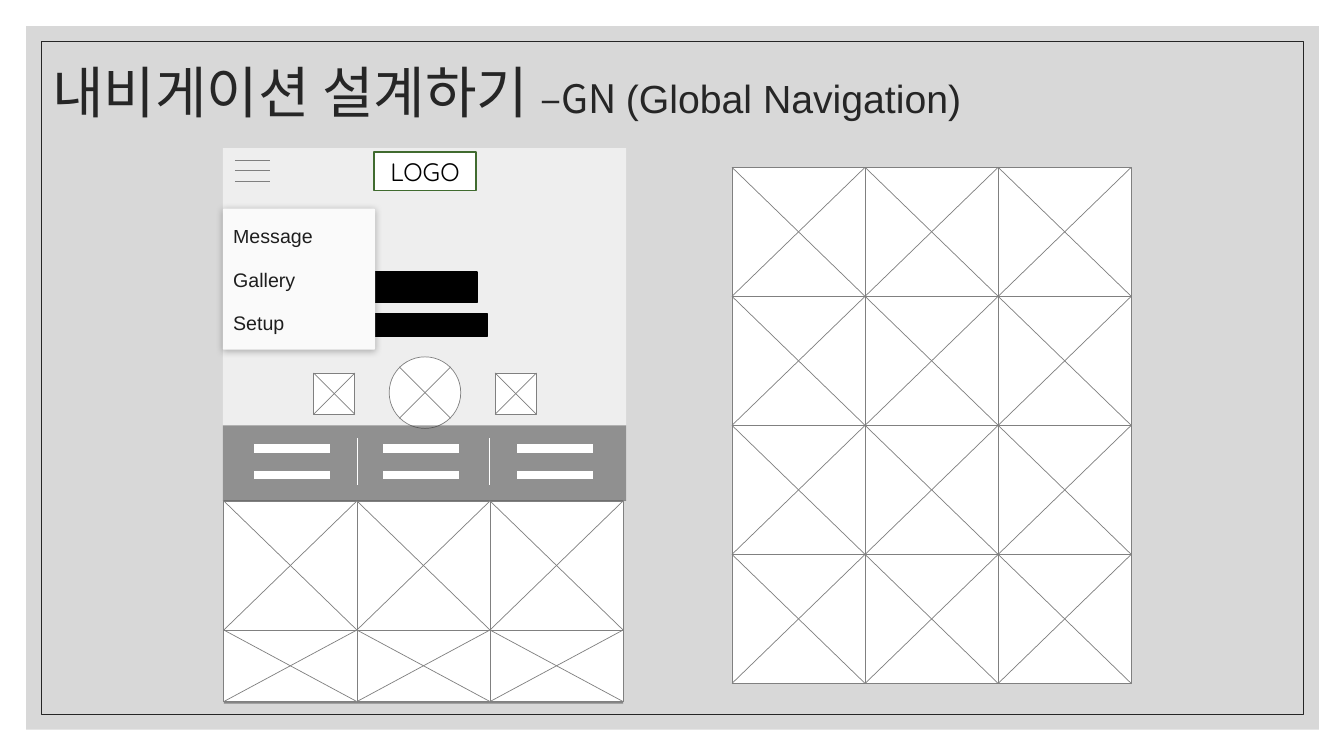
from dataclasses import dataclass
from itertools import product

from lxml.etree import SubElement
from pptx import Presentation
from pptx.dml.color import RGBColor
from pptx.dml.fill import FillFormat
from pptx.enum.shapes import MSO_CONNECTOR as LINE, MSO_SHAPE as SHAPE
from pptx.enum.text import MSO_ANCHOR as ANCHOR, MSO_AUTO_SIZE as FIT, PP_ALIGN as ALIGN
from pptx.oxml.ns import qn
from pptx.shapes.autoshape import Shape
from pptx.slide import Slide
from pptx.text.text import TextFrame, _Paragraph as Paragraph
from pptx.util import Inches, Pt

WHITE, BLACK, GREY, DARK = "FFFFFF", "000000", "808080", "333333"
KOREAN_FONT = "Noto Sans CJK KR"


@dataclass
class Box:
    left: float
    top: float
    width: float
    height: float
    fill: str = ""
    line: str = ""
    weight: float = 0.5
    opacity: int = 100
    kind: SHAPE = SHAPE.RECTANGLE


@dataclass
class Stroke:
    x1: float
    y1: float
    x2: float
    y2: float
    color: str = GREY
    weight: float = 0.5


@dataclass
class Words:
    text: str
    size: float
    font: str
    color: str
    opacity: int = 100


def paint(fill: FillFormat, color: str) -> None:
    fill.solid()
    fill.fore_color.rgb = RGBColor.from_string(color)


def set_opacity(element, percent: int) -> None:
    if percent < 100:
        color = next(element.iter(qn("a:srgbClr")))
        SubElement(color, qn("a:alpha"), val=str(percent * 1000))


def draw_box(slide: Slide, box: Box) -> Shape:
    shape = slide.shapes.add_shape(
        box.kind, Inches(box.left), Inches(box.top), Inches(box.width), Inches(box.height))
    shape.shadow.inherit = False
    if box.fill:
        paint(shape.fill, box.fill)
        set_opacity(shape.element, box.opacity)
    else:
        shape.fill.background()
    if box.line:
        paint(shape.line.fill, box.line)
        shape.line.width = Pt(box.weight)
    else:
        shape.line.fill.background()
    return shape


def draw_stroke(slide: Slide, stroke: Stroke) -> None:
    connector = slide.shapes.add_connector(
        LINE.STRAIGHT, Inches(stroke.x1), Inches(stroke.y1), Inches(stroke.x2), Inches(stroke.y2))
    paint(connector.line.fill, stroke.color)
    connector.line.width = Pt(stroke.weight)
    SubElement(connector.element.spPr, qn("a:effectLst"))


def draw_crossed(slide: Slide, box: Box, inset: float = 0) -> None:
    draw_box(slide, box)
    left, right = box.left + inset, box.left + box.width - inset
    top, bottom = box.top + inset, box.top + box.height - inset
    draw_stroke(slide, Stroke(left, bottom, right, top))
    draw_stroke(slide, Stroke(left, top, right, bottom))


def draw_gallery(slide: Slide, left: float, top: float, heights: list[float]) -> None:
    for row, height in enumerate(heights):
        for column in range(3):
            draw_crossed(slide, Box(left + 1.32 * column, top + sum(heights[:row]),
                                    1.32, height, WHITE, GREY))


def add_words(paragraph: Paragraph, words: Words) -> None:
    run = paragraph.add_run()
    run.text = words.text
    for name, value in {"size": Pt(words.size), "name": words.font, "bold": False}.items():
        setattr(run.font, name, value)
    paint(run.font.fill, words.color)
    set_opacity(run._r, words.opacity)
    SubElement(run._r.get_or_add_rPr(), qn("a:ea"), typeface=KOREAN_FONT)


def format_frame(frame: TextFrame, **values) -> None:
    for name, value in {"word_wrap": True, "vertical_anchor": ANCHOR.MIDDLE, **values}.items():
        setattr(frame, name, value)


def draw_title(slide: Slide) -> None:
    title = slide.shapes.title
    slide.shapes.element.append(title.element)
    place = {"left": 0.42, "top": 0.42, "width": 11, "height": 1.05}
    for name, value in place.items():
        setattr(title, name, Inches(value))
    format_frame(title.text_frame, auto_size=FIT.NONE)
    heading = title.text_frame.paragraphs[0]
    heading.alignment = ALIGN.LEFT
    heading.line_spacing = 0.9
    for words in (Words("내비게이션 설계하기 ", 40, "Arial", "262626"),
                  Words("–GN ", 28, KOREAN_FONT, "262626"),
                  Words("(Global Navigation)", 28, "Arial", "262626")):
        add_words(heading, words)


def draw_header(slide: Slide) -> None:
    draw_box(slide, Box(2.22, 1.47, 3.96, 5.51, DARK, opacity=50))
    draw_box(slide, Box(2.21, 1.47, 4, 3.49, "EEEEEE"))
    for y in (1.59, 1.69, 1.8):
        draw_stroke(slide, Stroke(2.33, y, 2.68, y))
    logo = draw_box(slide, Box(3.71, 1.51, 1.01, 0.38, WHITE, "406B2F", 1))
    format_frame(logo.text_frame)
    caption = logo.text_frame.paragraphs[0]
    caption.alignment = ALIGN.CENTER
    add_words(caption, Words("LOGO", 18, "Quicksand", BLACK))


def draw_profile(slide: Slide) -> None:
    draw_crossed(slide, Box(3.86, 3.54, 0.71, 0.71, WHITE, GREY, kind=SHAPE.OVAL), 0.1)
    draw_box(slide, Box(3.72, 2.7, 1.01, 0.3, BLACK, BLACK, 1))
    draw_box(slide, Box(2.21, 4.22, 4, 0.75, DARK, opacity=50))
    draw_box(slide, Box(3.59, 3.11, 1.24, 0.23, BLACK, BLACK, 1))
    for left in (3.11, 4.91):
        draw_crossed(slide, Box(left, 3.7, 0.41, 0.41, WHITE, GREY))
    for y, x in product((4.45, 4.71), (2.52, 3.8, 5.13)):
        draw_stroke(slide, Stroke(x, y, x + 0.75, y, WHITE, 6))
    for x in (3.54, 4.85):
        draw_stroke(slide, Stroke(x, 4.35, x, 4.81, WHITE))


def draw_menu(slide: Slide) -> None:
    menu = draw_box(slide, Box(2.21, 2.07, 1.51, 1.4, "FAFAFA", kind=SHAPE.ROUNDED_RECTANGLE))
    menu.adjustments[0] = 0.01
    effects = menu.element.spPr.find(qn("a:effectLst"))
    shadow = SubElement(effects, qn("a:outerShdw"), blurRad=str(Pt(5)), dist=str(Pt(1)),
                        dir="5400000", algn="t", rotWithShape="0")
    SubElement(shadow, qn("a:srgbClr"), val=BLACK)
    set_opacity(shadow, 25)
    format_frame(menu.text_frame, auto_size=FIT.SHAPE_TO_FIT_TEXT,
                 margin_left=Inches(0.1), margin_right=Inches(0.2),
                 margin_top=Inches(0.15), margin_bottom=Inches(0.15))
    for index, entry in enumerate(("Message", "Gallery", "Setup")):
        item = menu.text_frame.add_paragraph() if index else menu.text_frame.paragraphs[0]
        for name, value in {"alignment": ALIGN.LEFT, "space_before": Pt(7),
                            "space_after": Pt(7)}.items():
            setattr(item, name, value)
        add_words(item, Words(entry, 14, "Arial", BLACK, 87))


def main() -> None:
    deck = Presentation()
    deck.slide_width, deck.slide_height = Inches(13.33), Inches(7.5)
    slide = deck.slides.add_slide(deck.slide_layouts[5])
    draw_box(slide, Box(0.26, 0.26, 12.82, 6.98, "BFBFBF", opacity=60))
    draw_box(slide, Box(0.41, 0.41, 12.52, 6.68, line="262626"))
    draw_title(slide)
    draw_header(slide)
    draw_profile(slide)
    draw_gallery(slide, 2.22, 4.97, [1.28, 0.71])
    draw_gallery(slide, 7.26, 1.66, [1.28] * 4)
    draw_menu(slide)
    deck.save("out.pptx")


if __name__ == "__main__":
    main()
